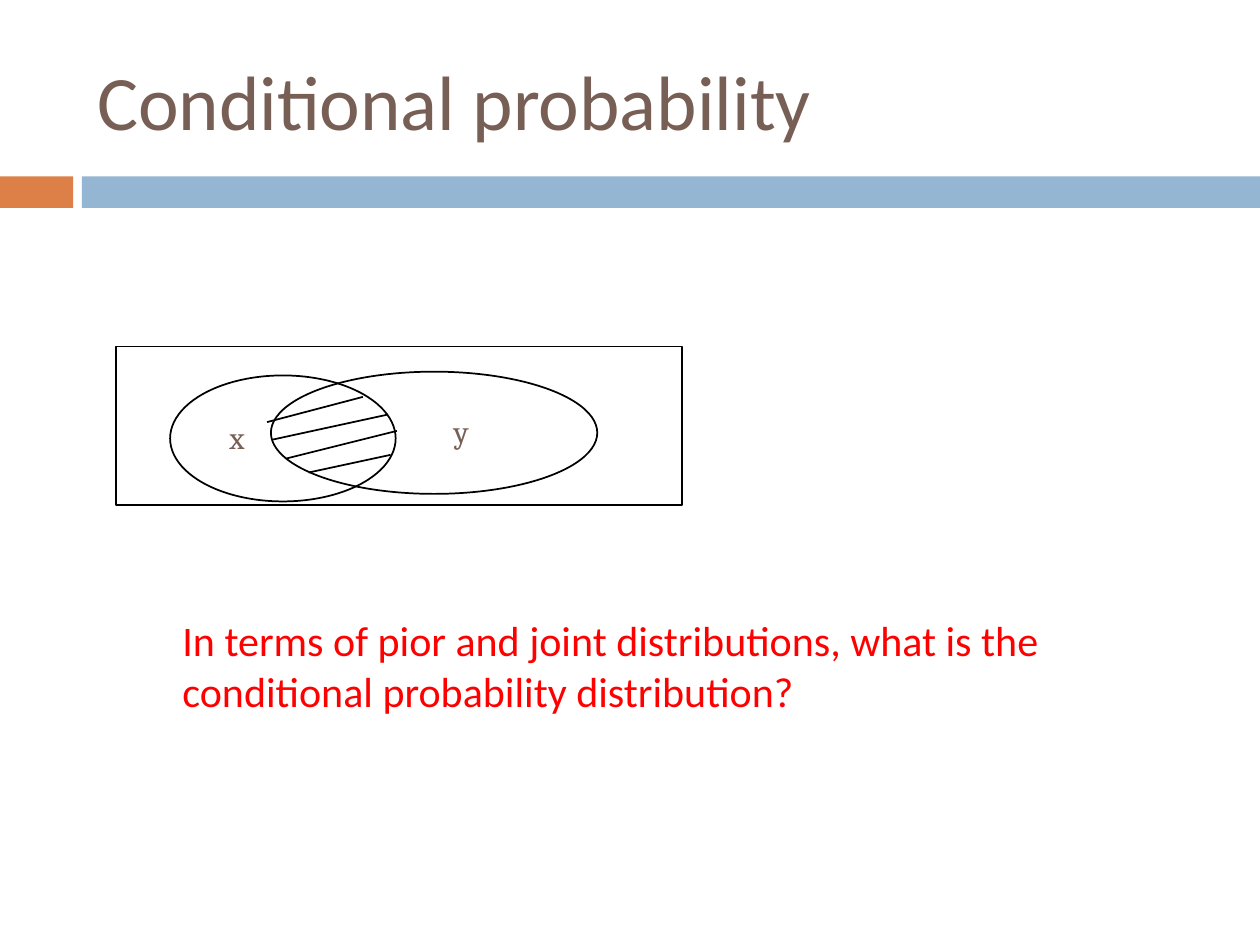
from dataclasses import dataclass

from lxml import etree
from pptx import Presentation
from pptx.dml.color import RGBColor
from pptx.enum.shapes import MSO_CONNECTOR, MSO_SHAPE
from pptx.enum.text import MSO_ANCHOR, MSO_AUTO_SIZE, PP_ALIGN
from pptx.oxml.ns import qn
from pptx.util import Inches, Pt

RECT, OVAL = MSO_SHAPE.RECTANGLE, MSO_SHAPE.OVAL
STRAIGHT = MSO_CONNECTOR.STRAIGHT
MIDDLE, LEFT = MSO_ANCHOR.MIDDLE, PP_ALIGN.LEFT
FIT_SHAPE, FIT_NONE = MSO_AUTO_SIZE.SHAPE_TO_FIT_TEXT, MSO_AUTO_SIZE.NONE
TITLE_ONLY = 5


@dataclass(frozen=True)
class Theme:
    orange: str = "DD8047"
    blue: str = "94B6D2"
    brown: str = "775F55"
    black: str = "000000"
    red: str = "FF0000"
    sans: str = "Calibri"
    serif: str = "Cambria"
    title_size: int = 44
    question_size: int = 24
    label_size: int = 18
    line_width: int = 1


THEME = Theme()


def rgb(color):
    return RGBColor.from_string(color)


def add_run(p, text, size, font, color):
    r = p.add_run()
    r.text = text
    r.font.size = Pt(size)
    r.font.name = font
    r.font.color.rgb = rgb(color)


def set_title(s, text, box):
    sp = s.shapes.title
    sp.left, sp.top, sp.width, sp.height = map(Inches, box)
    tf = sp.text_frame
    tf.auto_size = FIT_NONE
    tf.vertical_anchor = MIDDLE
    p = tf.paragraphs[0]
    p.alignment = LEFT
    add_run(p, text, THEME.title_size, THEME.sans, THEME.brown)


def add_outline(line):
    line.color.rgb = rgb(THEME.black)
    line.width = Pt(THEME.line_width)


def add_bar(s, box, color):
    sp = s.shapes.add_shape(RECT, *map(Inches, box))
    sp.shadow.inherit = False
    sp.fill.solid()
    sp.fill.fore_color.rgb = rgb(color)
    sp.line.fill.background()


def add_region(s, kind, box):
    sp = s.shapes.add_shape(kind, *map(Inches, box))
    sp.shadow.inherit = False
    sp.fill.background()
    add_outline(sp.line)


def add_hatch(s, start, end):
    line = s.shapes.add_connector(STRAIGHT, *map(Inches, start + end))
    etree.SubElement(line._element.spPr, qn("a:effectLst"))
    add_outline(line.line)


def add_text(s, box, wrap):
    tf = s.shapes.add_textbox(*map(Inches, box)).text_frame
    tf.word_wrap = wrap
    tf.auto_size = FIT_SHAPE
    return tf


def add_set_label(s, text, left, top):
    tf = add_text(s, (left, top, 0.28, 0.34), wrap=False)
    tf.margin_left = tf.margin_right = Inches(0.07)
    tf.margin_top = tf.margin_bottom = Inches(0.03)
    p = tf.paragraphs[0]
    p.line_spacing = 0.92
    add_run(p, text, THEME.label_size, THEME.serif, THEME.brown)


def add_question(s, text, box):
    p = add_text(s, box, wrap=True).paragraphs[0]
    add_run(p, text, THEME.question_size, THEME.sans, THEME.red)


def main():
    prs = Presentation()
    prs.slide_width, prs.slide_height = Inches(10), Inches(7.5)
    s = prs.slides.add_slide(prs.slide_layouts[TITLE_ONLY])

    # Title and the band below it
    add_bar(s, (0, 1.4, 0.58, 0.25), THEME.orange)
    add_bar(s, (0.65, 1.4, 9.35, 0.25), THEME.blue)
    set_title(s, "Conditional probability", (0.67, 0.25, 8.92, 1.08))

    # Venn diagram: sample space and the two sets
    add_region(s, RECT, (0.92, 2.75, 4.49, 1.26))
    add_region(s, OVAL, (1.35, 2.98, 1.79, 1))
    add_region(s, OVAL, (2.15, 2.95, 2.59, 0.97))
    add_set_label(s, "x", 1.75, 3.32)
    add_set_label(s, "y", 3.53, 3.27)

    # Hatching of the intersection
    for start, end in (
        ((2.88, 3.15), (2.12, 3.35)),
        ((3.08, 3.29), (2.16, 3.49)),
        ((3.15, 3.42), (2.27, 3.64)),
        ((3.1, 3.61), (2.45, 3.75)),
    ):
        add_hatch(s, start, end)

    # Question
    add_question(
        s,
        "In terms of pior and joint distributions, "
        "what is the conditional probability distribution?",
        (1.35, 4.83, 7.33, 0.91),
    )

    prs.save("out.pptx")


if __name__ == "__main__":
    main()
